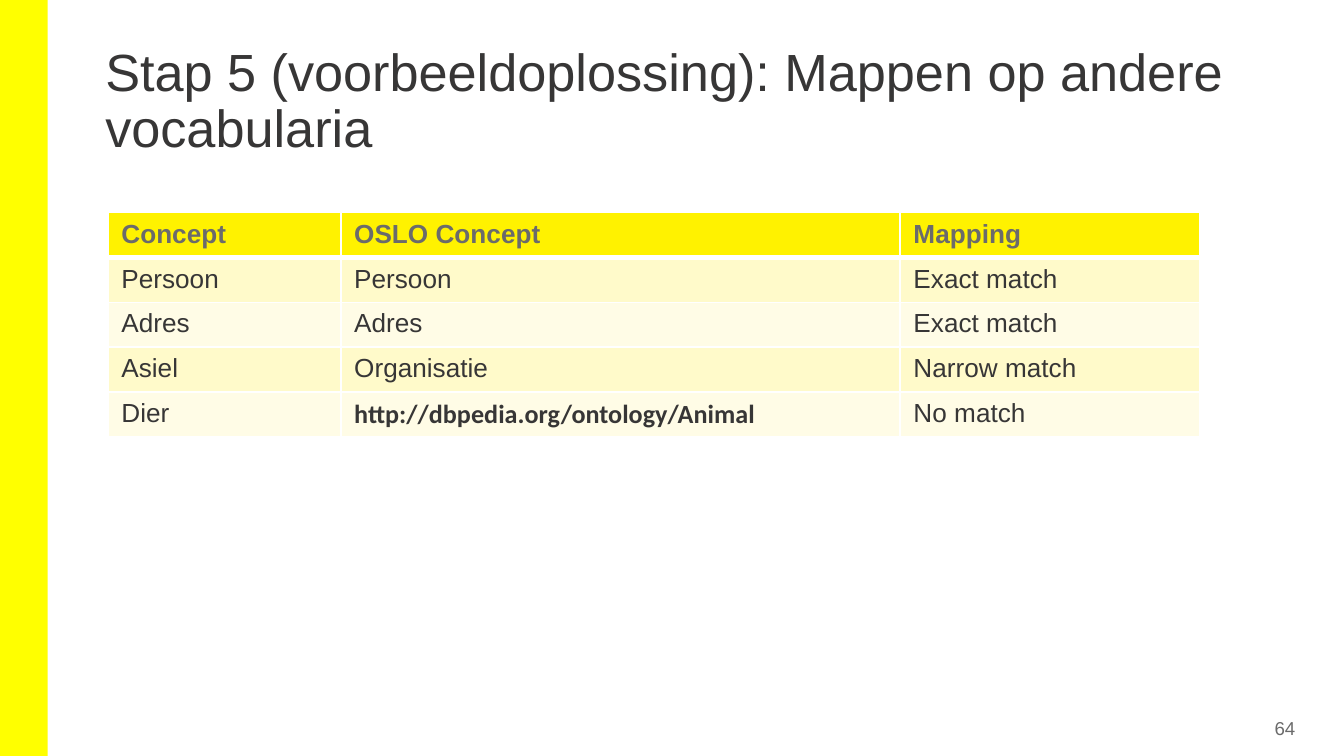
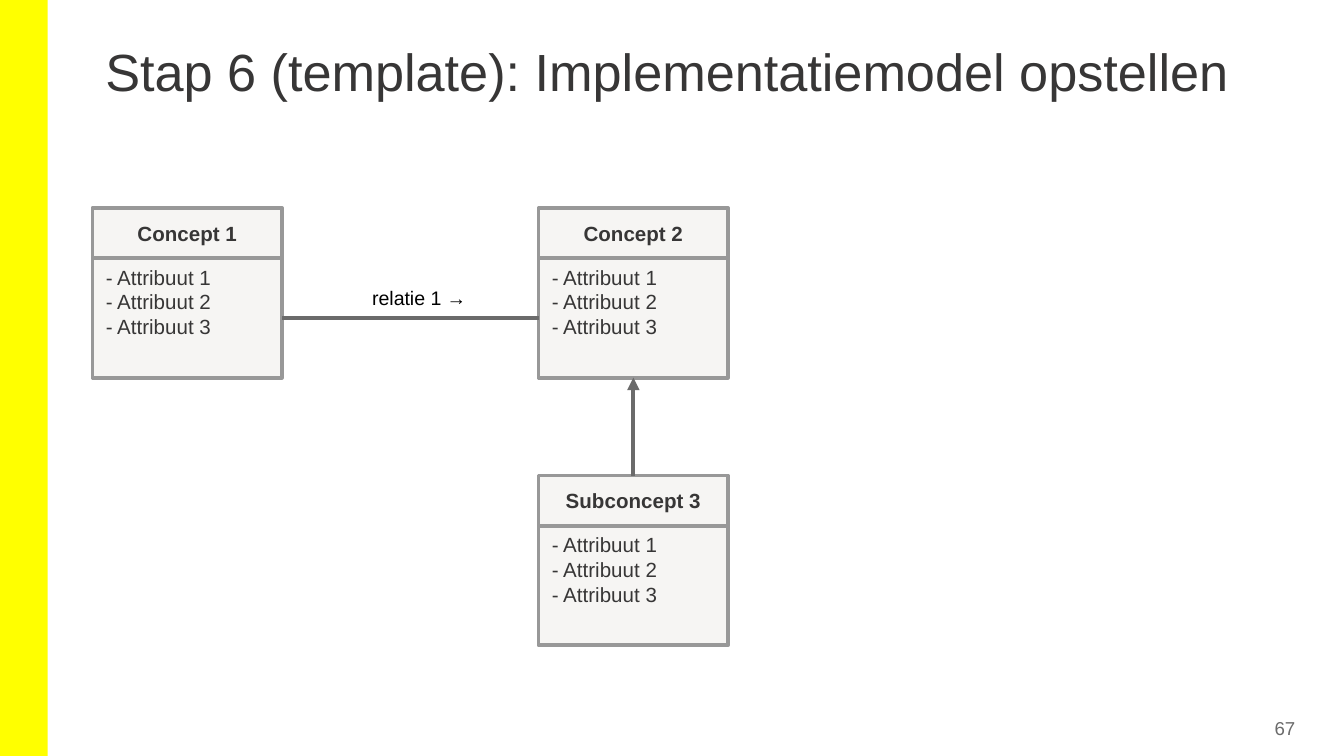
from dataclasses import dataclass
from typing import Any, NamedTuple

from lxml.etree import SubElement
from pptx import Presentation
from pptx.dml.color import RGBColor as RGB
from pptx.enum.shapes import MSO_CONNECTOR as Link, MSO_SHAPE as Form
from pptx.enum.text import MSO_ANCHOR as Anchor, MSO_AUTO_SIZE as Fit, PP_ALIGN as Align
from pptx.oxml.ns import qn
from pptx.util import Cm, Pt


@dataclass(frozen=True)
class Theme:
    font: str = "Arial"
    url_font: str = "Calibri"
    band: str = "FFFF00"
    text: str = "373636"
    muted: str = "6B6B6B"
    black: str = "000000"
    white: str = "FFFFFF"
    head: str = "FFF200"
    odd: str = "FFFACA"
    even: str = "FFFCE6"
    box: str = "F6F5F3"
    edge: str = "989898"
    title_size: float = 28
    cell_size: float = 14
    box_size: float = 11
    label_size: float = 10.5
    page_size: float = 10
    edge_width: float = 2
    link_width: float = 2.25


class Concept(NamedTuple):
    name: str
    left: float
    top: float


class Node(NamedTuple):
    head: Any
    body: Any


THEME = Theme()
WIDTH, HEIGHT = 25.4, 14.29
BOX_WIDTH, HEAD_HEIGHT, BODY_HEIGHT = 3.58, 0.95, 2.26
LEFT, RIGHT, UPPER, LOWER = 1.75, 10.18, 3.93, 8.99  # diagram grid
TOP_SITE, LEFT_SITE, BOTTOM_SITE, RIGHT_SITE = range(4)

COLUMNS = (4.4, 10.57, 5.66)
ROWS = (
    ("Concept", "OSLO Concept", "Mapping"),
    ("Persoon", "Persoon", "Exact match"),
    ("Adres", "Adres", "Exact match"),
    ("Asiel", "Organisatie", "Narrow match"),
    ("Dier", "http://dbpedia.org/ontology/Animal", "No match"),
)
CONCEPTS = (
    Concept("Concept 1", LEFT, UPPER),
    Concept("Concept 2", RIGHT, UPPER),
    Concept("Subconcept 3", RIGHT, LOWER),
)
ATTRIBUTES = tuple(f"- Attribuut {n}" for n in range(1, 4))


def area(*sides: float) -> tuple:
    return tuple(Cm(side) for side in sides)


def write(frame: Any, lines: tuple, size: float, color: str = THEME.text,
          align: Any = Align.LEFT, bold: bool = False, font: str = THEME.font) -> None:
    frame.text = "\n".join(lines)
    for par in frame.paragraphs:
        par.alignment = align
        par.font.name, par.font.size, par.font.bold = font, Pt(size), bold
        par.font.color.rgb = RGB.from_string(color)


def add_rect(shapes: Any, box: tuple, fill: str, edge: str = "") -> Any:
    rect = shapes.add_shape(Form.RECTANGLE, *box)
    rect.shadow.inherit = False
    rect.fill.solid()
    rect.fill.fore_color.rgb = RGB.from_string(fill)
    if edge:
        rect.line.color.rgb = RGB.from_string(edge)
        rect.line.width = Pt(THEME.edge_width)
    else:
        rect.line.fill.background()
    return rect


def add_label(slide: Any, box: tuple, text: str, size: float, color: str, align: Any) -> Any:
    frame = slide.shapes.add_textbox(*box).text_frame
    frame.word_wrap = True
    write(frame, (text,), size, color, align)
    return frame


def add_page(deck: Any, title: str, number: int) -> Any:
    slide = deck.slides.add_slide(deck.slide_layouts[5])
    head = slide.shapes.title
    head.left, head.top, head.width, head.height = area(1.75, 0.76, 21.9, 2.06)
    frame = head.text_frame
    frame.auto_size, frame.vertical_anchor = Fit.NONE, Anchor.TOP
    frame.margin_left = frame.margin_right = Cm(0.24)
    frame.margin_top = frame.margin_bottom = Cm(0.11)
    write(frame, (title,), THEME.title_size)
    frame.paragraphs[0].line_spacing = 0.9

    foot = add_label(slide, area(22.68, 13.49, 1.9, 0.53), str(number),
                     THEME.page_size, THEME.muted, Align.RIGHT)
    foot.vertical_anchor = Anchor.MIDDLE
    foot.margin_left = foot.margin_right = foot.margin_top = foot.margin_bottom = Cm(0.1)
    return slide


def add_band(slide: Any) -> None:
    """Place the side band on the layout, so that every slide shows it."""
    band = add_rect(slide.shapes, area(0, 0, 0.9, HEIGHT), THEME.band)
    slide.slide_layout.shapes.element.insert(2, band.element)


def set_edges(cell: Any, row: int) -> None:
    """Draw white cell borders, with a thick one under the header row."""
    thick = {0: "lnB", 1: "lnT"}.get(row)
    props = cell._tc.get_or_add_tcPr()
    for side in ("lnL", "lnR", "lnT", "lnB"):
        line = SubElement(props, qn(f"a:{side}"), w=str(Pt(3 if side == thick else 1)))
        SubElement(SubElement(line, qn("a:solidFill")), qn("a:srgbClr"), val=THEME.white)


def add_mapping(slide: Any) -> None:
    row_height = 0.82
    box = area(2.04, 4.02, sum(COLUMNS), row_height * len(ROWS))
    table = slide.shapes.add_table(len(ROWS), len(COLUMNS), *box).table
    for col, width in zip(table.columns, COLUMNS):
        col.width = Cm(width)
    for r, texts in enumerate(ROWS):
        fill = THEME.head if r == 0 else THEME.odd if r % 2 else THEME.even
        for c, text in enumerate(texts):
            cell = table.cell(r, c)
            set_edges(cell, r)
            cell.fill.solid()
            cell.fill.fore_color.rgb = RGB.from_string(fill)
            url = text.startswith("http")
            write(cell.text_frame, (text,), THEME.cell_size,
                  THEME.text if r else THEME.muted, bold=r == 0 or url,
                  font=THEME.url_font if url else THEME.font)


def add_node(slide: Any, item: Concept) -> Node:
    shapes = slide.shapes.add_group_shape().shapes
    body = add_rect(shapes, area(item.left, item.top + HEAD_HEIGHT, BOX_WIDTH, BODY_HEIGHT),
                    THEME.box, THEME.edge)
    body.text_frame.vertical_anchor = Anchor.TOP
    write(body.text_frame, ATTRIBUTES, THEME.box_size)
    head = add_rect(shapes, area(item.left, item.top, BOX_WIDTH, HEAD_HEIGHT),
                    THEME.box, THEME.edge)
    head.text_frame.vertical_anchor = Anchor.MIDDLE
    write(head.text_frame, (item.name,), THEME.box_size, align=Align.CENTER, bold=True)
    return Node(head, body)


def add_link(slide: Any, start: Any, site: int, end: Any, end_site: int,
             arrow: bool = False) -> None:
    link = slide.shapes.add_connector(Link.STRAIGHT, 0, 0, 0, 0)
    link.begin_connect(start, site)
    link.end_connect(end, end_site)
    link.line.color.rgb = RGB.from_string(THEME.muted)
    link.line.width = Pt(THEME.link_width)
    if arrow:
        SubElement(link.line._get_or_add_ln(), qn("a:tailEnd"), type="triangle")
    SubElement(link.element.spPr, qn("a:effectLst"))


def add_model(slide: Any) -> None:
    first, second, sub = (add_node(slide, item) for item in CONCEPTS)
    add_label(slide, area(6.45, 5.28, 2.95, 0.74), "relatie 1 →",
              THEME.label_size, THEME.black, Align.CENTER)
    add_link(slide, first.body, RIGHT_SITE, second.body, LEFT_SITE)
    add_link(slide, sub.head, TOP_SITE, second.body, BOTTOM_SITE, arrow=True)


def main() -> None:
    deck = Presentation()
    deck.slide_width, deck.slide_height = area(WIDTH, HEIGHT)
    page = add_page(deck, "Stap 5 (voorbeeldoplossing): Mappen op andere vocabularia", 64)
    add_band(page)
    add_mapping(page)
    add_model(add_page(deck, "Stap 6 (template): Implementatiemodel opstellen", 67))
    deck.save("out.pptx")


if __name__ == "__main__":
    main()
